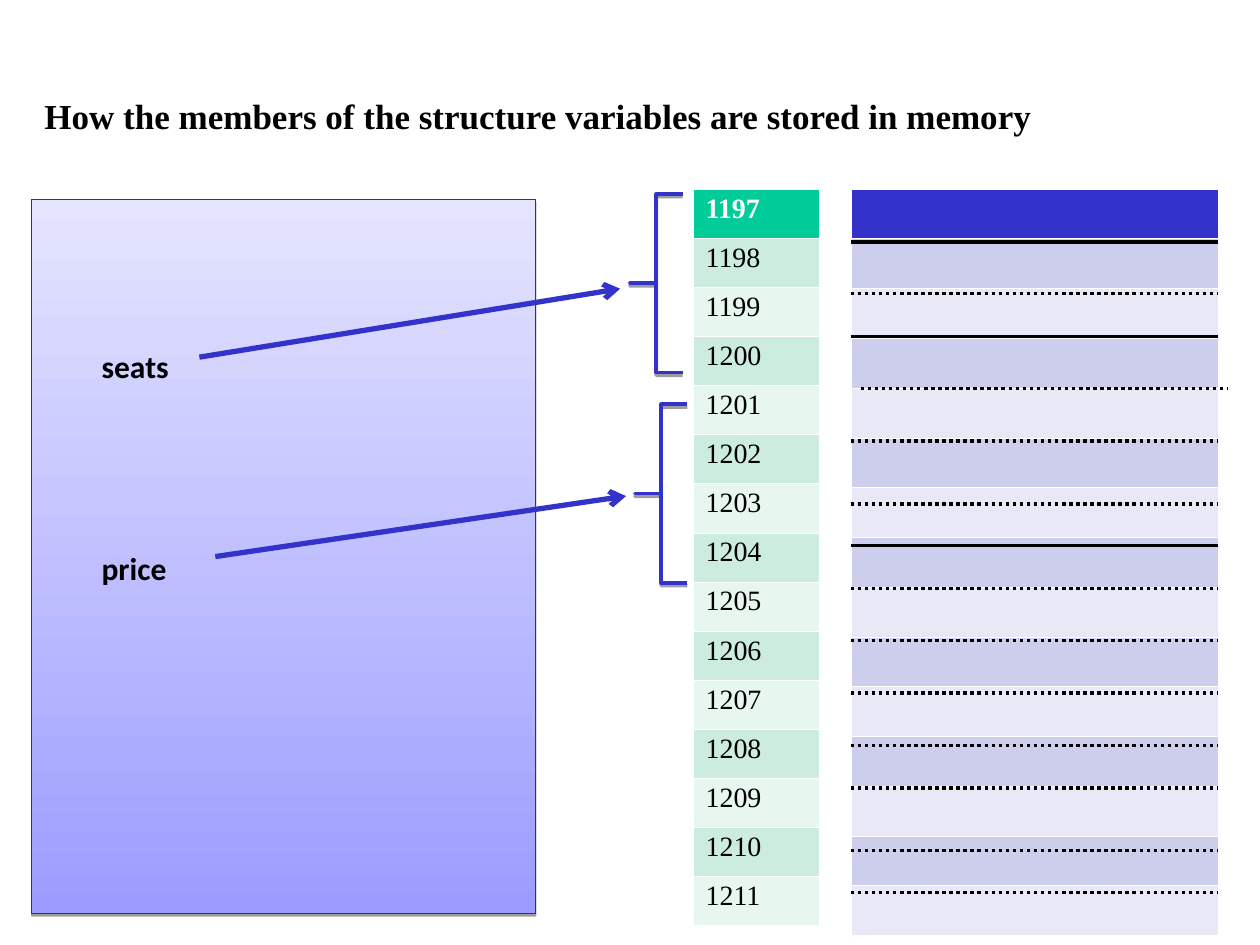
"""Build a slide showing how structure members are stored in memory."""
import lxml.etree
import pptx
import pptx.dml.color
import pptx.enum.dml
import pptx.enum.shapes
import pptx.enum.text
import pptx.oxml.ns
import pptx.util
from pptx.util import Cm

BLUE = "3333CC"
MEMORY_LEFT, MEMORY_WIDTH = 17.15, 7.41
SOLID_LINES = [4.88, 6.78, 11]
DOTTED_LINES = [5.92, 8.89, 10.16, 11.86, 12.91, 13.97, 15.03, 15.88, 17.15, 17.99]


def color(value):
    """Return the colour for a hex string."""
    return pptx.dml.color.RGBColor.from_string(value)


def add_element(parent, tag, **attributes):
    """Append a DrawingML element to its parent."""
    return lxml.etree.SubElement(parent, pptx.oxml.ns.qn(tag), **attributes)


def format_text(paragraph, name, size, value, bold):
    """Format every run of a paragraph."""
    for run in paragraph.runs:
        run.font.name = name
        run.font.size = pptx.util.Pt(size)
        run.font.color.rgb = color(value)
        run.font.bold = bold


def add_title(slide, text):
    """Place and format the title."""
    title = slide.shapes.title
    title.left, title.top, title.width, title.height = Cm(0.64), Cm(0.71), Cm(23.7), Cm(3.3)
    frame = title.text_frame
    frame.text = text
    frame.vertical_anchor = pptx.enum.text.MSO_ANCHOR.MIDDLE
    paragraph = frame.paragraphs[0]
    paragraph.alignment = pptx.enum.text.PP_ALIGN.LEFT
    paragraph.line_spacing = 0.97
    format_text(paragraph, "Times New Roman", 20, "000000", True)


def add_label(slide, text, top):
    """Add the name of a structure member."""
    box = slide.shapes.add_textbox(Cm(1.8), Cm(top), Cm(1.9), Cm(1.02))
    frame = box.text_frame
    frame.text = text
    frame.word_wrap = True
    frame.auto_size = pptx.enum.text.MSO_AUTO_SIZE.SHAPE_TO_FIT_TEXT
    format_text(frame.paragraphs[0], "Calibri", 18, "000000", True)


def add_borders(cell, row):
    """Draw thin white borders, with a thicker one below the first row."""
    properties = cell._tc.get_or_add_tcPr()
    thick_side = {0: "a:lnB", 1: "a:lnT"}.get(row)
    for side in ("a:lnL", "a:lnR", "a:lnT", "a:lnB"):
        width = pptx.util.Pt(0.75 if side == thick_side else 0.23)
        line = add_element(properties, side, w=str(int(width)))
        add_element(add_element(line, "a:solidFill"), "a:srgbClr", val="FFFFFF")


def add_column(slide, left, width, row_height, texts, fills):
    """Add a one-column table with a header fill and two alternating fills."""
    table = slide.shapes.add_table(
        len(texts), 1, Cm(left), Cm(3.81), Cm(width), Cm(row_height * len(texts))).table
    header, odd, even = fills
    for row, text in enumerate(texts):
        table.rows[row].height = Cm(row_height)
        cell = table.cell(row, 0)
        cell.margin_top = cell.margin_bottom = Cm(0.12)
        add_borders(cell, row)
        cell.fill.solid()
        cell.fill.fore_color.rgb = color(header if row == 0 else odd if row % 2 else even)
        if text:
            cell.text_frame.text = text
            paragraph = cell.text_frame.paragraphs[0]
            paragraph.line_spacing = 0.93
            format_text(paragraph, "Times New Roman", 16,
                        "000000" if row else "FFFFFF", row == 0)


def add_line(slide, start, end, value, width):
    """Add a straight line without shadow."""
    line = slide.shapes.add_connector(
        pptx.enum.shapes.MSO_CONNECTOR.STRAIGHT, *map(Cm, start + end))
    line.line.color.rgb = color(value)
    line.line.width = pptx.util.Pt(width)
    add_element(line._element.spPr, "a:effectLst")
    return line


def add_divider(slide, top, dotted, left=MEMORY_LEFT):
    """Add a line across the memory column."""
    line = add_line(slide, (left, top), (left + MEMORY_WIDTH, top), "000000", 2)
    if dotted:
        line.line.dash_style = pptx.enum.dml.MSO_LINE.ROUND_DOT


def add_arrow(slide, start, end):
    """Add an arrow from a member to its memory cells."""
    arrow = add_line(slide, start, end, BLUE, 3)
    add_element(arrow._element.spPr.find(pptx.oxml.ns.qn("a:ln")), "a:tailEnd", type="arrow")


def add_shadowed_shape(slide, kind, box, value, width):
    """Add an outlined shape with a hard shadow below it."""
    shape = slide.shapes.add_shape(kind, *map(Cm, box))
    shape.line.color.rgb = color(value)
    shape.line.width = pptx.util.Pt(width)
    shape.shadow.inherit = False
    effects = shape._element.spPr.find(pptx.oxml.ns.qn("a:effectLst"))
    shadow = add_element(effects, "a:outerShdw", blurRad="0", dist=str(int(pptx.util.Pt(1.6))),
                         dir="5400000", rotWithShape="0")
    add_element(add_element(shadow, "a:srgbClr", val="000000"), "a:alpha", val="38000")
    return shape


def add_panel(slide):
    """Add the gradient panel behind the member names."""
    panel = add_shadowed_shape(slide, pptx.enum.shapes.MSO_SHAPE.RECTANGLE,
                               (0.64, 4.02, 10.16, 14.39), "2828B8", 0.75)
    panel.fill.gradient()
    panel.fill.gradient_angle = 90
    for stop, value, position in zip(panel.fill.gradient_stops, ("9C9CFF", "E4E4FF"), (0, 1)):
        stop.color.rgb = color(value)
        stop.position = position


def add_bracket(slide, left, top):
    """Add a square-cornered brace around four memory cells."""
    bracket = add_shadowed_shape(slide, pptx.enum.shapes.MSO_SHAPE.LEFT_BRACE,
                                 (left, top, 1.06, 3.6), BLUE, 2)
    bracket.fill.background()
    bracket.adjustments[0] = 0
    bracket.adjustments[1] = 0.5


def main():
    """Build and save the presentation."""
    presentation = pptx.Presentation()
    presentation.slide_width, presentation.slide_height = Cm(25.4), Cm(19.05)
    slide = presentation.slides.add_slide(presentation.slide_layouts[5])
    add_title(slide, "How the members of the structure variables are stored in memory")
    addresses = [str(address) for address in range(1197, 1212)]
    add_column(slide, 13.97, 2.54, 0.99, addresses, ("00CC99", "CBECDE", "E7F6EF"))
    add_panel(slide)
    add_label(slide, "seats", 6.88)
    add_label(slide, "price", 10.95)
    add_column(slide, MEMORY_LEFT, MEMORY_WIDTH, 0.97, [""] * len(addresses),
               (BLUE, "CDCDEC", "E8E8F6"))
    for top in SOLID_LINES:
        add_divider(slide, top, False)
    for top in DOTTED_LINES:
        add_divider(slide, top, True)
    add_divider(slide, 7.83, True, MEMORY_LEFT + 0.2)
    add_arrow(slide, (4.02, 7.2), (12.5, 5.82))
    add_arrow(slide, (4.34, 11.22), (12.62, 10))
    add_bracket(slide, 12.8, 8.15)
    add_bracket(slide, 12.7, 3.91)
    presentation.save("out.pptx")


if __name__ == "__main__":
    main()
